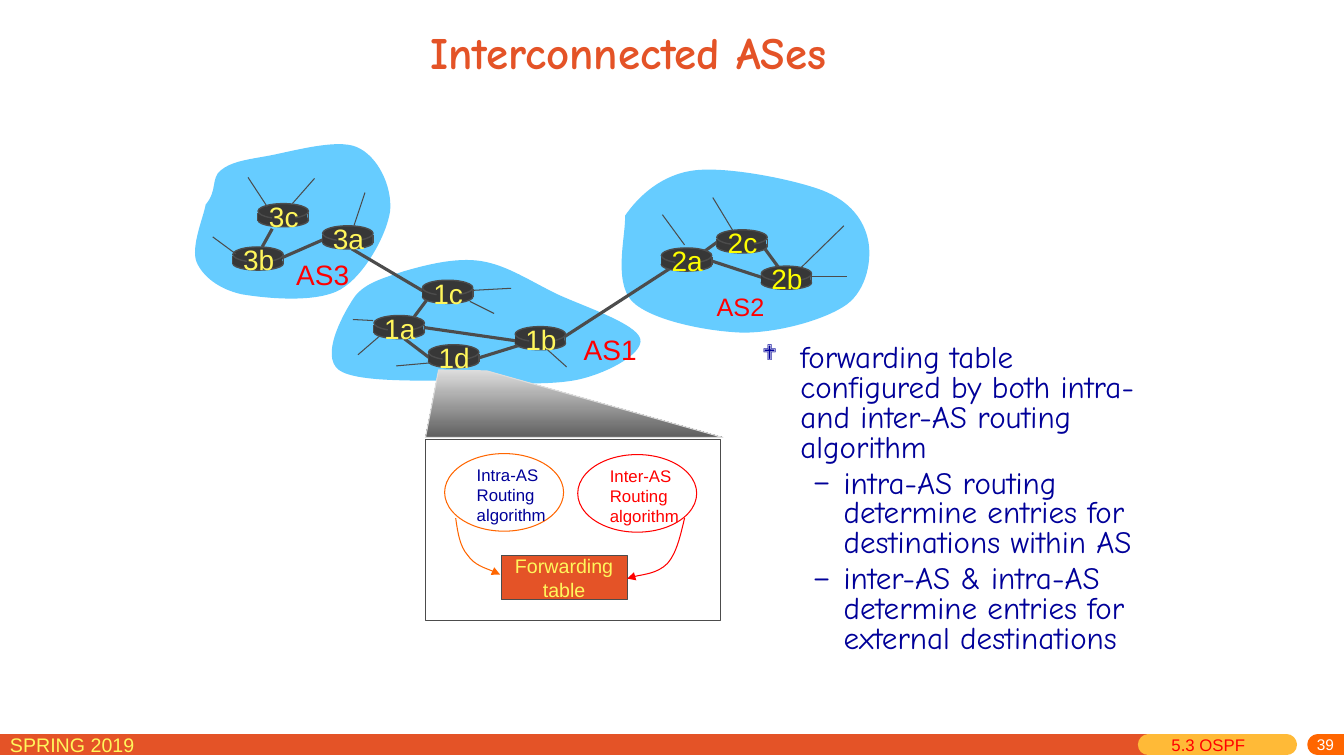
"""Build the slide on interconnected autonomous systems and their forwarding table."""
from dataclasses import dataclass
from typing import Optional

from lxml.etree import SubElement
from pptx import Presentation
from pptx.dml.color import RGBColor
from pptx.enum.shapes import MSO_CONNECTOR, MSO_SHAPE
from pptx.enum.text import MSO_ANCHOR, PP_ALIGN
from pptx.oxml.ns import qn
from pptx.util import Cm, Pt

COLORS = {
    "orange": "E45327", "amber": "FFBA37", "bright": "FF6600", "pale": "FFF65C",
    "yellow": "FFFF00", "red": "FF0000", "navy": "000099", "white": "FFFFFF",
    "cloud": "66CCFF", "router": "373737", "wire": "4C4C4C",
    "silver": "DDDDDD", "shade": "5F5F5F",
}
Point = tuple[float, float]


@dataclass
class Router:
    name: str
    x: float
    y: float
    color: str = "pale"


@dataclass
class Label:
    text: str
    box: tuple[float, float, float, float]
    size: float
    color: str
    font: str = "Arial"
    bold: bool = False
    align: PP_ALIGN = PP_ALIGN.LEFT
    anchor: MSO_ANCHOR = MSO_ANCHOR.TOP
    wrap: bool = True
    inset_top: float = 0.05


@dataclass
class Process:
    name: str
    x: float
    y: float
    line: str
    color: str
    arrow: list[Point]


@dataclass
class Bullet:
    text: str
    char: str
    font: str
    level: int
    margin: float
    hang: float
    percent: int


CLOUDS = [
    [(6.2, 2.14), (6.33, 1.95), (6.56, 1.73), (6.89, 1.69), (7.22, 1.65), (7.87, 1.78), (8.16, 1.89),
     (8.44, 2), (8.57, 2.19), (8.61, 2.38), (8.65, 2.57), (8.6, 2.87), (8.4, 3.02),
     (8.19, 3.17), (7.73, 3.3), (7.37, 3.3), (7.02, 3.29), (6.46, 3.18), (6.27, 2.99),
     (6.08, 2.79), (6.21, 2.32), (6.2, 2.14)],
    [(2.04, 2.03), (2.16, 1.89), (2.09, 1.77), (2.19, 1.69), (2.29, 1.61), (2.41, 1.59), (2.64, 1.55),
     (2.87, 1.51), (3.34, 1.37), (3.54, 1.46), (3.75, 1.55), (3.89, 1.85), (3.87, 2.09),
     (3.84, 2.32), (3.62, 2.73), (3.38, 2.87), (3.14, 3.01), (2.64, 2.96), (2.4, 2.92),
     (2.17, 2.87), (2.01, 2.74), (1.95, 2.6), (1.89, 2.45), (2.02, 2.15), (2.04, 2.03)],
    [(3.5, 2.97), (3.6, 2.81), (3.8, 2.76), (4.01, 2.69), (4.22, 2.63), (4.52, 2.55), (4.77, 2.59),
     (5.03, 2.63), (5.26, 2.79), (5.53, 2.92), (5.79, 3.04), (6.31, 3.21), (6.35, 3.36),
     (6.39, 3.5), (6.05, 3.69), (5.76, 3.76), (5.47, 3.83), (4.98, 3.8), (4.58, 3.78),
     (4.18, 3.77), (3.54, 3.8), (3.36, 3.67), (3.18, 3.53), (3.39, 3.14), (3.5, 2.97)],
]
LINKS = [
    (7.06, 2.59, 7.55, 2.75), (7.58, 2.46, 7.72, 2.65), (6.95, 2.52, 7.13, 2.39),
    (4.75, 3.55, 5.17, 3.42), (4.01, 3.36, 4.26, 3.55), (4.21, 3.25, 5.11, 3.38),
    (4.11, 3.14, 4.23, 2.98), (2.79, 2.56, 3.2, 2.38), (3.49, 2.47, 4.2, 2.89),
    (5.6, 3.34, 6.65, 2.66), (2.7, 2.27, 2.6, 2.45),
]
SPOKES = [
    (2.11, 2.35, 2.34, 2.52), (3.12, 1.77, 2.9, 2.02), (2.46, 1.76, 2.65, 2.05),
    (3.62, 1.91, 3.51, 2.24), (8.04, 2.74, 8.4, 2.74), (7.95, 2.65, 8.37, 2.24),
    (7.27, 2.29, 7.07, 1.96), (6.79, 2.43, 6.57, 2.13), (3.77, 3.33, 3.55, 3.52),
    (3.7, 3.18, 3.5, 3.17), (4.27, 3.6, 3.93, 3.63), (4.7, 2.88, 5.07, 2.86),
    (5.43, 3.47, 5.62, 3.64), (4.66, 2.99, 4.9, 3.11),
]
ROUTERS = [
    Router("3b", 2.31, 2.45), Router("1d", 4.25, 3.42), Router("3a", 3.2, 2.24),
    Router("1c", 4.19, 2.78), Router("2a", 6.56, 2.46, "yellow"), Router("1a", 3.71, 3.13),
    Router("2c", 7.11, 2.28, "yellow"), Router("2b", 7.55, 2.64, "yellow"),
    Router("1b", 5.11, 3.24), Router("3c", 2.56, 2.02),
]
PROCESSES = [
    Process("Intra-AS", 4.41, 4.5, "bright", "navy",
            [(4.52, 5.14), (4.54, 5.28), (4.56, 5.42), (4.64, 5.51), (4.71, 5.61), (4.91, 5.67), (4.96, 5.7)]),
    Process("Inter-AS", 5.73, 4.51, "red", "red",
            [(6.79, 5.14), (6.75, 5.31), (6.71, 5.49), (6.62, 5.59), (6.52, 5.69), (6.29, 5.71), (6.22, 5.74)]),
]
FOOTER = [(0, 11.39, "orange"), (11.39, 12.76, "amber"), (13.07, 13.33, "bright")]
LABELS = [
    Label("AS3", (2.84, 2.51, 0.73, 0.43), 20, "red", wrap=False),
    Label("AS1", (5.69, 3.25, 0.73, 0.43), 20, "red", wrap=False),
    Label("AS2", (7.01, 2.84, 0.67, 0.4), 18, "red", wrap=False),
    Label("Interconnected ASes", (4.17, 0.05, 5.14, 0.92), 32, "orange", "Comic Neue", True,
          anchor=MSO_ANCHOR.MIDDLE),
    Label("SPRING 2019", (0, 7.22, 2.29, 0.31), 14, "pale"),
    Label("5.3 OSPF", (11.52, 7.24, 1.05, 0.31), 12, "red"),
    Label("39", (10.75, 7.32, 2.58, 0.18), 11, "white", align=PP_ALIGN.RIGHT,
          anchor=MSO_ANCHOR.MIDDLE, inset_top=0),
]
BULLETS = [
    Bullet("forwarding table configured by both intra- and inter-AS routing algorithm",
           "❖", "Wingdings", 0, 0.38, 0.38, 70),
    Bullet("intra-AS routing determine entries for destinations within AS",
           "–", "Comic Neue", 1, 0.81, 0.31, 100),
    Bullet("inter-AS & intra-AS determine entries for external destinations",
           "–", "Comic Neue", 1, 0.81, 0.31, 100),
]


def inch(value: float) -> Cm:
    return Cm(value * 2.54)


def rgb(name: str) -> RGBColor:
    return RGBColor.from_string(COLORS[name])


def style(sp, fill: Optional[str] = None, line: Optional[str] = None, width: float = 0.75) -> None:
    sp.shadow.inherit = False
    if fill:
        sp.fill.solid()
        sp.fill.fore_color.rgb = rgb(fill)
    else:
        sp.fill.background()
    if line:
        sp.line.color.rgb = rgb(line)
        sp.line.width = Pt(width)
    else:
        sp.line.fill.background()


def add_shape(s, kind: MSO_SHAPE, box: tuple, fill=None, line=None, width: float = 0.75):
    sp = s.shapes.add_shape(kind, *map(inch, box))
    style(sp, fill, line, width)
    return sp


def add_line(s, ends: tuple, color: str, width: float, cap: str = "flat") -> None:
    cxn = s.shapes.add_connector(MSO_CONNECTOR.STRAIGHT, *map(inch, ends))
    cxn.line.color.rgb = rgb(color)
    cxn.line.width = Pt(width)
    sp_pr = cxn.element.spPr
    sp_pr.find(qn("a:ln")).set("cap", cap)
    SubElement(sp_pr, qn("a:effectLst"))


def add_outline(s, points: list[Point], close: bool = True):
    start, *rest = [(inch(x), inch(y)) for x, y in points]
    builder = s.shapes.build_freeform(*start)
    builder.add_line_segments(rest, close=close)
    return builder.convert_to_shape()


def add_curve(s, knots: list[Point], close: bool = True):
    sp = add_outline(s, knots, close)
    segments = list(sp.element.spPr.iter(qn("a:lnTo")))[:len(knots) - 1]
    for i in range(0, len(segments), 3):
        bezier = segments[i].makeelement(qn("a:cubicBezTo"))
        segments[i].addprevious(bezier)
        for segment in segments[i:i + 3]:
            bezier.append(segment[0])
            segment.getparent().remove(segment)
    return sp


def write(tf, label: Label) -> None:
    tf.word_wrap = label.wrap
    tf.vertical_anchor = label.anchor
    tf.margin_top = inch(label.inset_top)
    for i, text in enumerate(label.text.split("\n")):
        p = tf.paragraphs[0] if i == 0 else tf.add_paragraph()
        p.text = text
        p.alignment = label.align
        p.font.name, p.font.size, p.font.bold = label.font, Pt(label.size), label.bold
        p.font.color.rgb = rgb(label.color)


def add_label(s, label: Label) -> None:
    write(s.shapes.add_textbox(*map(inch, label.box)).text_frame, label)


def add_router(s, router: Router) -> None:
    x, y = router.x, router.y
    add_shape(s, MSO_SHAPE.OVAL, (x, y + 0.1, 0.5, 0.13), "router", "wire", 1)
    for side in (x, x + 0.5):
        add_line(s, (side, y + 0.09, side, y + 0.17), "wire", 1)
    add_shape(s, MSO_SHAPE.RECTANGLE, (x, y + 0.09, 0.49, 0.08), "router")
    add_shape(s, MSO_SHAPE.OVAL, (x, y, 0.5, 0.15), "router", "wire", 1)
    add_shape(s, MSO_SHAPE.RECTANGLE, (x + 0.14, y + 0.02, 0.23, 0.2), "router")
    add_label(s, Label(router.name, (x, y - 0.09, 0.51, 0.43), 20, router.color,
                       align=PP_ALIGN.CENTER, wrap=False))


def add_process(s, process: Process) -> None:
    add_shape(s, MSO_SHAPE.OVAL, (process.x, process.y, 1.18, 0.77), line=process.line)
    add_label(s, Label(f"{process.name}\nRouting\nalgorithm",
                       (process.x + 0.22, process.y + 0.06, 0.89, 0.71), 12, process.color))
    arrow = add_curve(s, process.arrow, close=False)
    style(arrow, line=process.line)
    SubElement(arrow.element.spPr.find(qn("a:ln")), qn("a:tailEnd"), type="triangle")


def add_zoom(s) -> None:
    fan = add_outline(s, [(4.22, 4.34), (4.35, 3.67), (4.83, 3.68), (7.17, 4.34)])
    style(fan, line="silver")
    fan.fill.gradient()
    fan.fill.gradient_angle = 270
    for stop, color in zip(fan.fill.gradient_stops, ("silver", "shade")):
        stop.color.rgb = rgb(color)
    add_shape(s, MSO_SHAPE.RECTANGLE, (4.22, 4.36, 2.93, 1.8), line="wire")
    table = add_shape(s, MSO_SHAPE.RECTANGLE, (4.97, 5.51, 1.25, 0.44), "orange", "wire")
    write(table.text_frame, Label("Forwarding\ntable", (), 14, "pale", align=PP_ALIGN.CENTER,
                                  anchor=MSO_ANCHOR.MIDDLE, wrap=False))
    for process in PROCESSES:
        add_process(s, process)


def add_bullets(s) -> None:
    tf = s.shapes.add_textbox(*map(inch, (7.46, 3.37, 4.1, 3.72))).text_frame
    tf.word_wrap = True
    for i, bullet in enumerate(BULLETS):
        p = tf.add_paragraph() if i else tf.paragraphs[0]
        p.text, p.level, p.line_spacing = bullet.text, bullet.level, 0.8
        if i:
            p.space_before = Pt(4.4)
        p_pr = p._p.get_or_add_pPr()
        p_pr.set("marL", str(inch(bullet.margin)))
        p_pr.set("indent", str(-inch(bullet.hang)))
        SubElement(p_pr, qn("a:buSzPct"), val=str(bullet.percent * 1000))
        SubElement(p_pr, qn("a:buFont"), typeface=bullet.font)
        SubElement(p_pr, qn("a:buChar"), char=bullet.char)
        p.font.name, p.font.size = "Comic Neue", Pt(22.2)
        p.font.color.rgb = rgb("navy")


def main() -> None:
    prs = Presentation()
    prs.slide_width, prs.slide_height = inch(13.33), inch(7.5)
    s = prs.slides.add_slide(prs.slide_layouts[6])
    for left, right, color in FOOTER:
        add_line(s, (left, 7.39, right, 7.39), color, 15, "rnd")
    for knots in CLOUDS:
        style(add_curve(s, knots), "cloud")
    for ends in LINKS:
        add_line(s, ends, "wire", 2.25)
    for router in ROUTERS:
        add_router(s, router)
    for ends in SPOKES:
        add_line(s, ends, "wire", 0.75)
    add_zoom(s)
    for label in LABELS:
        add_label(s, label)
    add_bullets(s)
    prs.save("out.pptx")


if __name__ == "__main__":
    main()
